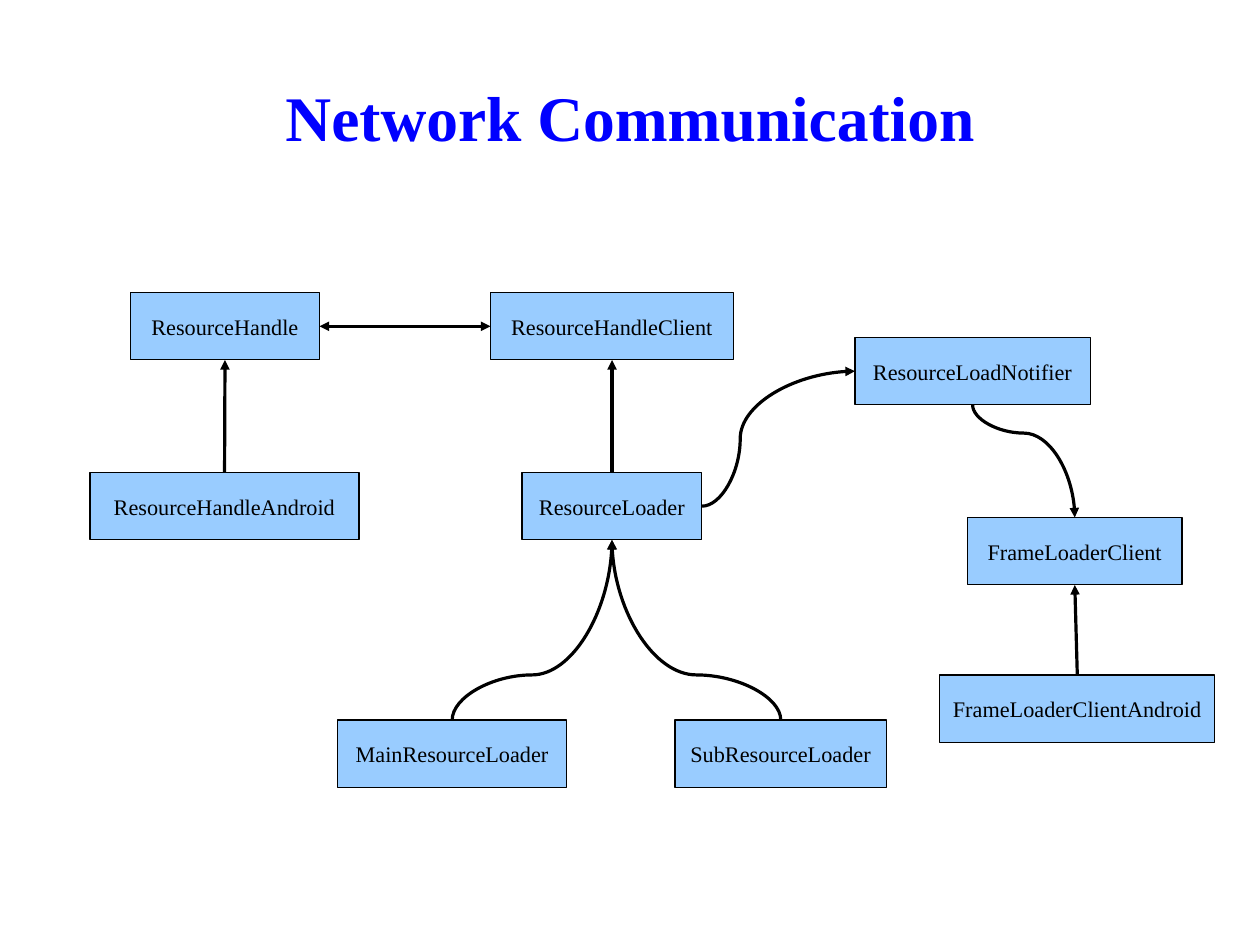
from pptx import Presentation
from pptx.dml.color import RGBColor
from pptx.enum.shapes import MSO_CONNECTOR, MSO_SHAPE
from pptx.enum.text import MSO_ANCHOR, PP_ALIGN
from pptx.oxml.ns import qn
from pptx.util import Cm, Pt
from lxml.etree import SubElement

THEME = {
    "font": "Times New Roman",
    "title": RGBColor(0x00, 0x00, 0xFF), "title_size": 40,
    "ink": RGBColor(0x00, 0x00, 0x00), "label_size": 14,
    "box": RGBColor(0x99, 0xCC, 0xFF),
}
COLS, ROWS = 28, 21  # grid cells of 1 cm
BOX_H = 1.5
TOP, LEFT, BOTTOM, RIGHT = range(4)


def put_text(sp, text, size, color, bold=False, wrap=False, margins=None):
    tf = sp.text_frame
    tf.word_wrap = wrap
    tf.vertical_anchor = MSO_ANCHOR.MIDDLE
    if margins is not None:
        tf.margin_left = tf.margin_right = tf.margin_top = tf.margin_bottom = margins
    p = tf.paragraphs[0]
    p.alignment = PP_ALIGN.CENTER
    r = p.add_run()
    r.text = text
    r.font.name, r.font.size, r.font.bold = THEME["font"], Pt(size), bold
    r.font.color.rgb = color


def turn_vertical(cxn):
    """Rotate a curved connector so that it leaves and arrives vertically."""
    x1, y1, x2, y2 = cxn.begin_x, cxn.begin_y, cxn.end_x, cxn.end_y
    right, up = x2 > x1, y2 < y1
    w, h = abs(y2 - y1), abs(x2 - x1)
    cxn.left, cxn.top = (x1 + x2 - w) // 2, (y1 + y2 - h) // 2
    cxn.width, cxn.height = w, h
    xfrm = cxn.element.spPr.find(qn("a:xfrm"))
    xfrm.set("rot", str((90 if up == right else 270) * 60000))
    xfrm.set("flipH", str(int(right)))
    xfrm.set("flipV", str(int(up)))


prs = Presentation()
prs.slide_width, prs.slide_height = Cm(COLS), Cm(ROWS)
s = prs.slides.add_slide(prs.slide_layouts[6])

title = s.shapes.add_textbox(Cm(1.4), Cm(0.84), Cm(25.2), Cm(3.5))
put_text(title, "Network Communication", THEME["title_size"], THEME["title"],
         bold=True, wrap=True, margins=0)

# class name: left column, top row, width in columns
classes = {
    "ResourceHandle": (2.9, 6.5, 4.2),
    "ResourceHandleAndroid": (2, 10.5, 5.98),
    "ResourceHandleClient": (10.9, 6.5, 5.4),
    "ResourceLoader": (11.6, 10.5, 4),
    "MainResourceLoader": (7.5, 16, 5.1),
    "SubResourceLoader": (15, 16, 4.7),
    "ResourceLoadNotifier": (19, 7.5, 5.23),
    "FrameLoaderClient": (21.5, 11.5, 4.77),
    "FrameLoaderClientAndroid": (20.88, 15, 6.12),
}
boxes = {}
for name, (x, y, w) in classes.items():
    sp = s.shapes.add_shape(MSO_SHAPE.RECTANGLE, Cm(x), Cm(y), Cm(w), Cm(BOX_H))
    sp.shadow.inherit = False
    sp.fill.solid()
    sp.fill.fore_color.rgb = THEME["box"]
    sp.line.color.rgb = THEME["ink"]
    sp.line.width = 0
    put_text(sp, name, THEME["label_size"], THEME["ink"])
    boxes[name] = sp

STRAIGHT, CURVE = MSO_CONNECTOR.STRAIGHT, MSO_CONNECTOR.CURVE
arrows = [
    ("ResourceLoader", TOP, "ResourceHandleClient", BOTTOM, STRAIGHT, ["tailEnd"]),
    ("ResourceHandleAndroid", TOP, "ResourceHandle", BOTTOM, STRAIGHT, ["tailEnd"]),
    ("ResourceHandle", RIGHT, "ResourceHandleClient", LEFT, STRAIGHT, ["headEnd", "tailEnd"]),
    ("MainResourceLoader", TOP, "ResourceLoader", BOTTOM, CURVE, ["tailEnd"]),
    ("SubResourceLoader", TOP, "ResourceLoader", BOTTOM, CURVE, ["tailEnd"]),
    ("FrameLoaderClientAndroid", TOP, "FrameLoaderClient", BOTTOM, STRAIGHT, ["tailEnd"]),
    ("ResourceLoader", RIGHT, "ResourceLoadNotifier", LEFT, CURVE, ["tailEnd"]),
    ("ResourceLoadNotifier", BOTTOM, "FrameLoaderClient", TOP, CURVE, ["tailEnd"]),
]
for source, source_side, target, target_side, kind, ends in arrows:
    cxn = s.shapes.add_connector(kind, 0, 0, 0, 0)
    cxn.begin_connect(boxes[source], source_side)
    cxn.end_connect(boxes[target], target_side)
    cxn.line.color.rgb = THEME["ink"]
    cxn.line.width = 0
    spPr = cxn.element.spPr
    for end in ends:
        SubElement(spPr.find(qn("a:ln")), qn(f"a:{end}"), type="triangle")
    SubElement(spPr, qn("a:effectLst"))
    if kind == CURVE:
        guides = spPr.find(qn("a:prstGeom")).find(qn("a:avLst"))
        SubElement(guides, qn("a:gd"), name="adj1", fmla="val 25000")
        if source_side in (TOP, BOTTOM):
            turn_vertical(cxn)

prs.save("out.pptx")
